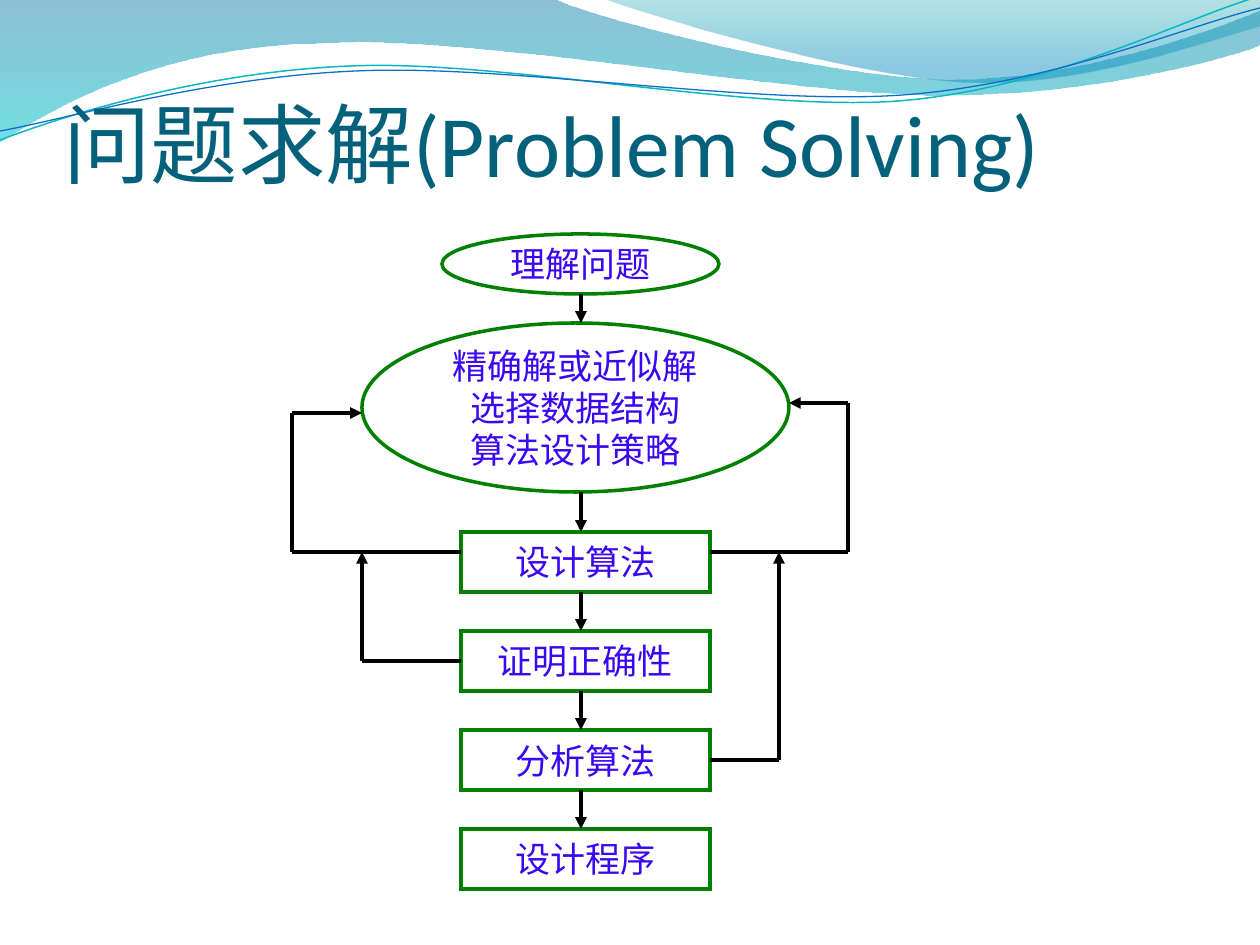
from itertools import pairwise

from lxml import etree
from pptx import Presentation
from pptx.dml.color import RGBColor
from pptx.enum.shapes import MSO_CONNECTOR, MSO_SHAPE
from pptx.enum.text import MSO_ANCHOR, MSO_AUTO_SIZE, PP_ALIGN
from pptx.oxml.ns import qn
from pptx.util import Pt

RECT, OVAL = MSO_SHAPE.RECTANGLE, MSO_SHAPE.OVAL
STRAIGHT = MSO_CONNECTOR.STRAIGHT
CENTER, LEFT = PP_ALIGN.CENTER, PP_ALIGN.LEFT
MIDDLE, BOTTOM = MSO_ANCHOR.MIDDLE, MSO_ANCHOR.BOTTOM
SITE_LEFT, SITE_RIGHT = 1, 3
PX = 914400 // 126

THEME = {
    "title": "04617B", "title_font": "Calibri", "title_size": 50,
    "text": "3907F1", "text_font": "Arial", "text_size": 20,
    "box": "FFFFFF", "border": "008000", "border_width": 2,
    "arrow": "000000", "arrow_width": 2.25,
}

# Content
TITLE = "问题求解(Problem Solving)"
OVALS = [  # lines, left, top, width, height
    (["理解问题"], 442, 234, 277, 60),
    (["精确解或近似解", "选择数据结构", "算法设计策略"], 362, 323, 427, 169),
]
STEPS = ["设计算法", "证明正确性", "分析算法", "设计程序"]
STEP_X, STEP_Y, STEP_W, STEP_H, STEP_PITCH = 461, 532, 249, 60, 99
STEP_RIGHT = STEP_X + STEP_W
FLOW_X, LOOP_Y = 581, 552
PROOF_Y, ANALYSIS_Y = (STEP_Y + i * STEP_PITCH + STEP_H // 2 for i in (1, 2))

# Feedback paths: points, then the step and side joined at the start
LOOPS = [
    ([(STEP_X, LOOP_Y), (292, LOOP_Y), (292, 413), (362, 413)], None),
    ([(STEP_RIGHT, LOOP_Y), (848, LOOP_Y), (848, 403), (789, 403)], None),
    ([(STEP_X, PROOF_Y), (362, PROOF_Y), (362, LOOP_Y)], ("证明正确性", SITE_LEFT)),
    ([(STEP_RIGHT, ANALYSIS_Y), (779, ANALYSIS_Y), (779, LOOP_Y)], ("分析算法", SITE_RIGHT)),
]

# Header outlines: one pair is a straight step, three pairs are a Bezier curve
WAVES = [  # gradient stops (position, colour, opacity %), outline
    ([(0, "0074A1", 45), (1, "00C6CF", 55)],
     [[(0, 0)], [(554, -1)], [(600, 21), (837, 79), (955, 79)],
      [(1075, 79), (1207, 33), (1260, 11)], [(1261, 45)],
      [(1239, 55), (1096, 96), (940, 95)], [(784, 95), (481, 35), (324, 43)],
      [(163, 45), (58, 105), (-1, 142)]]),
    ([(0, "00A1A9", 30), (0.8, "008BBF", 45)],
     [[(604, -1)], [(641, 14), (859, 78), (969, 82)],
      [(1079, 87), (1211, 40), (1260, 26)], [(1260, 0)]]),
]
STRANDS = [  # colour, width, outline
    ("0AB8BF", 0.85, [[(0, 140)], [(60, 117), (199, 72), (349, 66)],
                      [(498, 59), (747, 112), (898, 101)],
                      [(1050, 89), (1182, 19), (1257, -3)]]),
    ("0F6FC6", 0.75, [[(0, 131)], [(59, 121), (207, 77), (357, 71)],
                      [(508, 64), (752, 106), (903, 95)],
                      [(1053, 84), (1186, 26), (1260, 8)]]),
]


def rgb(value):
    return RGBColor.from_string(value)


def add_outline(s, outline, close):
    first, *ends = [part[-1] for part in outline]
    builder = s.shapes.build_freeform(*first, scale=PX)
    builder.add_line_segments(ends, close=close)
    sp = builder.convert_to_shape()
    sp.shadow.inherit = False
    # Bend the segments that have control points
    left, top = (min(values) for values in zip(first, *ends))
    segments = list(sp.element.spPr.iter(qn("a:lnTo")))
    for segment, part in zip(segments, outline[1:]):
        if len(part) == 3:
            curve = etree.Element(qn("a:cubicBezTo"))
            for x, y in part:
                etree.SubElement(curve, qn("a:pt"), x=str((x - left) * PX),
                                 y=str((y - top) * PX))
            segment.getparent().replace(segment, curve)
    # Path units become EMU so that they match the curves
    geometry = next(sp.element.spPr.iter(qn("a:pathLst")))[0]
    for node in geometry:
        if node.tag in (qn("a:moveTo"), qn("a:lnTo")):
            for name in ("x", "y"):
                node[0].set(name, str(int(node[0].get(name)) * PX))
    geometry.set("w", str(sp.width))
    geometry.set("h", str(sp.height))
    return sp


def add_wave(s, stops, outline):
    sp = add_outline(s, outline, True)
    sp.line.fill.background()
    sp.fill.gradient()
    sp.fill.gradient_angle = 270
    for stop, (position, colour, _) in zip(sp.fill.gradient_stops, stops):
        stop.position = position
        stop.color.rgb = rgb(colour)
    for node, (_, _, opacity) in zip(sp.element.spPr.iter(qn("a:srgbClr")), stops):
        etree.SubElement(node, qn("a:alpha"), val=str(opacity * 1000))


def add_strand(s, colour, width, outline):
    sp = add_outline(s, outline, False)
    sp.fill.background()
    sp.line.color.rgb = rgb(colour)
    sp.line.width = Pt(width)


def style_paragraph(p, role, align):
    p.alignment = align
    p.font.name = THEME[role + "_font"]
    p.font.size = Pt(THEME[role + "_size"])
    p.font.color.rgb = rgb(THEME[role])


def add_box(s, kind, lines, *frame):
    sp = s.shapes.add_shape(kind, *(v * PX for v in frame))
    sp.shadow.inherit = False
    sp.fill.solid()
    sp.fill.fore_color.rgb = rgb(THEME["box"])
    sp.line.color.rgb = rgb(THEME["border"])
    sp.line.width = Pt(THEME["border_width"])
    etree.SubElement(sp.element.spPr.find(qn("a:ln")), qn("a:miter"), lim="800000")
    tf = sp.text_frame
    tf.word_wrap = False
    tf.vertical_anchor = MIDDLE
    tf.text = "\n".join(lines)
    for p in tf.paragraphs:
        style_paragraph(p, "text", CENTER)
    return sp


def add_line(s, start, end, arrow):
    line = s.shapes.add_connector(STRAIGHT, *(v * PX for v in start + end))
    line.line.color.rgb = rgb(THEME["arrow"])
    line.line.width = Pt(THEME["arrow_width"])
    spPr = line.element.spPr
    if arrow:
        etree.SubElement(spPr.find(qn("a:ln")), qn("a:tailEnd"), type="triangle")
    etree.SubElement(spPr, qn("a:effectLst"))
    return line


def add_title(s):
    title = s.shapes.title
    s.shapes.element.append(title.element)  # in front of the waves
    title.left, title.top, title.width, title.height = (
        v * PX for v in (63, 38, 1134, 157))
    tf = title.text_frame
    tf.text = TITLE
    tf.word_wrap = True
    tf.auto_size = MSO_AUTO_SIZE.NONE
    tf.vertical_anchor = BOTTOM
    tf.margin_left = tf.margin_right = tf.margin_bottom = 0
    style_paragraph(tf.paragraphs[0], "title", LEFT)


def main():
    prs = Presentation()
    prs.slide_width, prs.slide_height = 1260 * PX, 945 * PX
    s = prs.slides.add_slide(prs.slide_layouts[5])

    # Header
    for wave in WAVES:
        add_wave(s, *wave)
    for strand in STRANDS:
        add_strand(s, *strand)
    add_title(s)

    # Flow from top to bottom
    spans, steps = [], {}
    for lines, x, y, w, h in OVALS:
        add_box(s, OVAL, lines, x, y, w, h)
        spans.append((y, y + h))
    for i, name in enumerate(STEPS):
        y = STEP_Y + i * STEP_PITCH
        steps[name] = add_box(s, RECT, [name], STEP_X, y, STEP_W, STEP_H)
        spans.append((y, y + STEP_H))
    for (_, bottom), (top, _) in pairwise(spans):
        add_line(s, (FLOW_X, bottom), (FLOW_X, top), True)

    # Feedback loops
    for points, joint in LOOPS:
        for i, (start, end) in enumerate(pairwise(points)):
            line = add_line(s, start, end, end == points[-1])
            if joint and i == 0:
                name, site = joint
                line.begin_connect(steps[name], site)

    prs.save("out.pptx")


if __name__ == "__main__":
    main()
